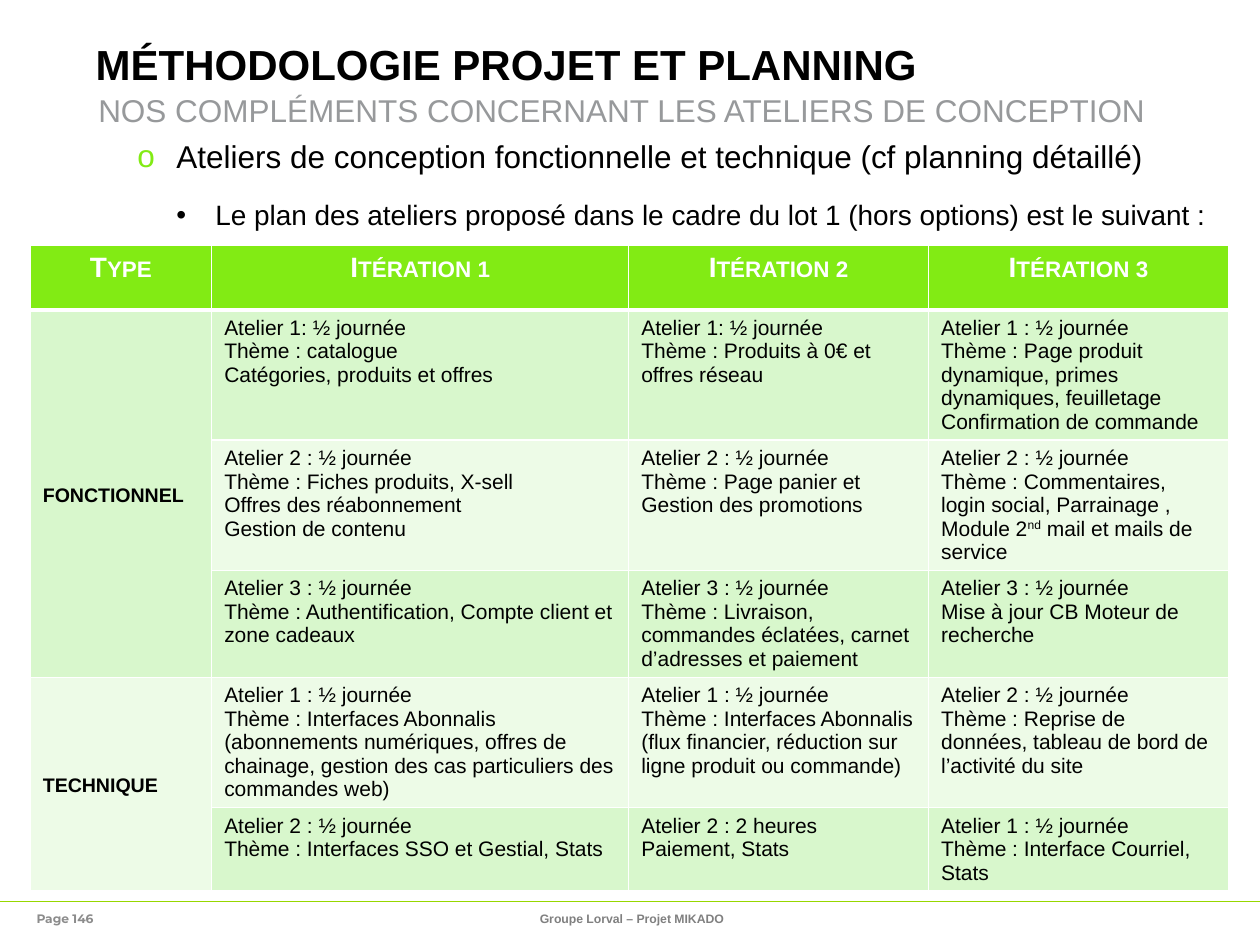
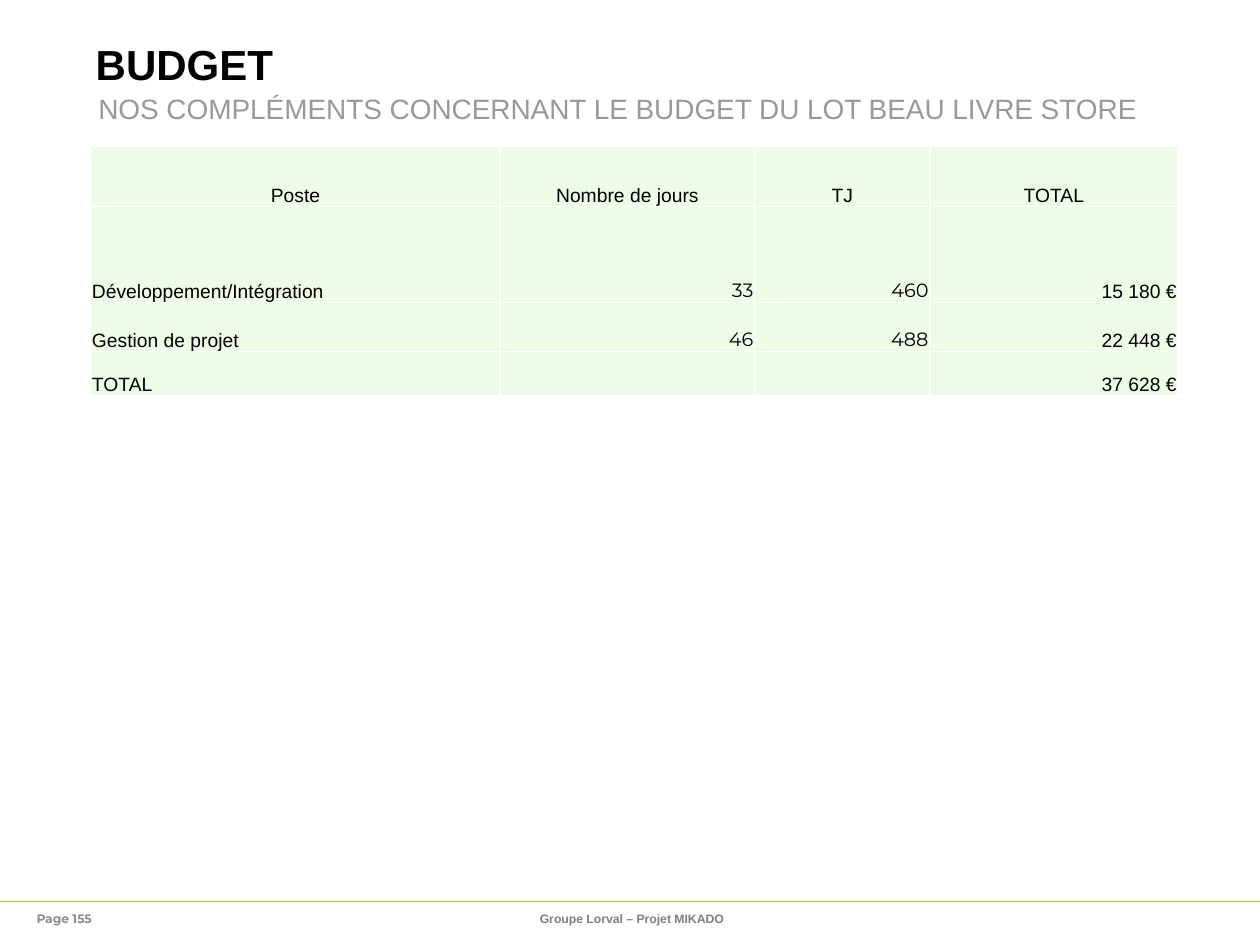
import pptx
import pptx.dml.color
import pptx.enum.shapes
import pptx.enum.text
import pptx.oxml
import pptx.oxml.ns
import pptx.util
from lxml import etree

Inches = pptx.util.Inches
Pt = pptx.util.Pt
qn = pptx.oxml.ns.qn
ALIGN = pptx.enum.text.PP_ALIGN
ANCHOR = pptx.enum.text.MSO_ANCHOR

LIME, MINT, PALE = "82EB14", "D8F7CC", "EDFBE7"
BLACK, WHITE, GREY = "000000", "FFFFFF", "97999B"


def hue(code):
    return pptx.dml.color.RGBColor.from_string(code)


def write(frame, text, size=12, color=BLACK, bold=False, face="Arial", align=ALIGN.LEFT,
          anchor=ANCHOR.TOP, inset=0, space=1, small=False, bullets=()):
    frame.word_wrap = True
    frame.auto_size = pptx.enum.text.MSO_AUTO_SIZE.NONE
    frame.vertical_anchor = anchor
    if inset is not None:
        frame.margin_left = frame.margin_right = Inches(inset)
        frame.margin_top = frame.margin_bottom = Inches(inset)
    for num, line in enumerate(text.split("\n")):
        para = frame.paragraphs[0] if num == 0 else frame.add_paragraph()
        para.alignment = align
        para.line_spacing = space
        points = size
        if bullets:
            mark, tint, left, points = bullets[num]
            props = para._p.get_or_add_pPr()
            props.set("marL", str(Inches(left)))
            props.set("indent", str(Inches(-0.31)))
            shade = etree.SubElement(props, qn("a:buClr"))
            etree.SubElement(shade, qn("a:srgbClr")).set("val", tint)
            etree.SubElement(props, qn("a:buFont")).set("typeface", "Arial")
            etree.SubElement(props, qn("a:buChar")).set("char", mark)
            if num:
                para.space_before = Pt(7)
            else:
                para.space_after = Pt(6)
        for part, bit in enumerate(line.split("^")):
            run = para.add_run()
            run.text = bit
            run.font.size = Pt(points)
            run.font.name = face
            run.font.bold = bold
            run.font.color.rgb = hue(color)
            if part % 2:
                run._r.get_or_add_rPr().set("baseline", "30000")
            if small:
                run._r.get_or_add_rPr().set("cap", "small")


plan = [
    ["Type", "Itération 1", "Itération 2", "Itération 3"],
    ["fonctionnel",
     "Atelier 1: ½ journée\nThème : catalogue\nCatégories, produits et offres",
     "Atelier 1: ½ journée\nThème : Produits à 0€ et offres réseau",
     "Atelier 1 : ½ journée\nThème : Page produit dynamique, primes dynamiques, "
     "feuilletage Confirmation de commande"],
    ["",
     "Atelier 2 : ½ journée\nThème : Fiches produits, X-sell\n"
     "Offres des réabonnement\nGestion de contenu",
     "Atelier 2 : ½ journée\nThème : Page panier et Gestion des promotions",
     "Atelier 2 : ½ journée\nThème : Commentaires, login social, Parrainage , "
     "Module 2^nd^ mail et mails de service"],
    ["",
     "Atelier 3 : ½ journée\nThème : Authentification, Compte client et zone cadeaux",
     "Atelier 3 : ½ journée\nThème : Livraison, commandes éclatées, carnet "
     "d’adresses et paiement",
     "Atelier 3 : ½ journée\nMise à jour CB Moteur de recherche"],
    ["technique",
     "Atelier 1 : ½ journée\nThème : Interfaces Abonnalis (abonnements numériques, "
     "offres de chainage, gestion des cas particuliers des commandes web)",
     "Atelier 1 : ½ journée\nThème : Interfaces Abonnalis (flux financier, "
     "réduction sur ligne produit ou commande)",
     "Atelier 2 : ½ journée\nThème : Reprise de données, tableau de bord de "
     "l’activité du site"],
    ["",
     "Atelier 2 : ½ journée\nThème : Interfaces SSO et Gestial, Stats",
     "Atelier 2 : 2 heures\nPaiement, Stats",
     "Atelier 1 : ½ journée\nThème : Interface Courriel, Stats"],
]
costs = [
    ["Poste", "Nombre de jours", "TJ", "TOTAL"],
    ["Développement/Intégration", "33", "460", "15 180 €"],
    ["Gestion de projet", "46", "488", "22 448 €"],
    ["TOTAL", "", "", "37 628 €"],
]
pages = [
    ("MÉTHODOLOGIE PROJET ET PLANNING",
     "NOS COMPLÉMENTS CONCERNANT LES ATELIERS DE CONCEPTION", 18, "Page 146",
     plan, 0.24, 1.95, [1.44, 3.31, 2.38, 2.38], [0.51, 1.03, 1.03, 0.85, 1.03, 0.66],
     [LIME, MINT, PALE, MINT, PALE, MINT]),
    ("BUDGET",
     "NOS COMPLÉMENTS CONCERNANT LE BUDGET DU LOT BEAU LIVRE STORE", 16, "Page 155",
     costs, 0.72, 1.16, [3.25, 2.02, 1.39, 1.97], [0.48, 0.76, 0.39, 0.35],
     [PALE] * 4),
]

deck = pptx.Presentation()
deck.slide_width = Inches(10)
deck.slide_height = Inches(7.5)
grids = []

for head, sub, size, page, data, left, top, cols, rows, fills in pages:
    slide = deck.slides.add_slide(deck.slide_layouts[5])
    shapes = slide.shapes

    rule = shapes.add_connector(pptx.enum.shapes.MSO_CONNECTOR.STRAIGHT,
                                0, Inches(7.15), Inches(10), Inches(7.15))
    rule.line.color.rgb = hue("97D700")
    rule.line.width = Pt(0.25)
    etree.SubElement(rule._element.spPr, qn("a:effectLst"))

    title = shapes.title
    title.left, title.top = Inches(0.76), Inches(0.35)
    title.width, title.height = Inches(8.79), Inches(0.36)
    write(title.text_frame, head, size=24, bold=True, space=0.9)

    box = shapes.add_textbox(Inches(0.78), Inches(0.78), Inches(8.75), Inches(0.18))
    write(box.text_frame, sub, size=size, color=GREY, space=0.8)

    box = shapes.add_textbox(Inches(0.29), Inches(7.18), Inches(2.33), Inches(0.22))
    write(box.text_frame, page, size=7, color="8C8C8C", bold=True, face="Montserrat",
          anchor=ANCHOR.MIDDLE)
    box = shapes.add_textbox(Inches(3.43), Inches(7.18), Inches(3.17), Inches(0.22))
    write(box.text_frame, "Groupe Lorval – Projet MIKADO", size=7, color="808080",
          bold=True, align=ALIGN.CENTER, anchor=ANCHOR.MIDDLE)

    if data is plan:
        box = shapes.add_textbox(Inches(0.78), Inches(1.09), Inches(8.83), Inches(0.8))
        write(box.text_frame,
              "Ateliers de conception fonctionnelle et technique (cf planning détaillé)\n"
              "Le plan des ateliers proposé dans le cadre du lot 1 (hors options) "
              "est le suivant :",
              bullets=[("o", LIME, 0.62, 18), ("•", BLACK, 0.93, 16)])

    grid = shapes.add_table(len(rows), len(cols), Inches(left), Inches(top),
                            Inches(sum(cols)), Inches(sum(rows))).table
    grid.first_row = grid.horz_banding = False
    for col, width in zip(grid.columns, cols):
        col.width = Inches(width)
    for row, height in zip(grid.rows, rows):
        row.height = Inches(height)
    for r, fill in enumerate(fills):
        for c in range(len(cols)):
            cell = grid.cell(r, c)
            cell.fill.solid()
            cell.fill.fore_color.rgb = hue(fill)
            props = cell._tc.get_or_add_tcPr()
            for place, side in enumerate("LRTB"):
                thick = data is plan and (r, side) in [(0, "B"), (1, "T")]
                edge = etree.Element(qn("a:ln" + side), w=str(Pt(3 if thick else 1)))
                paint = etree.SubElement(edge, qn("a:solidFill"))
                etree.SubElement(paint, qn("a:srgbClr")).set("val", WHITE)
                props.insert(place, edge)
    grids.append(grid)

work, budget = grids
work.cell(1, 0).merge(work.cell(3, 0))
work.cell(4, 0).merge(work.cell(5, 0))
for r, row in enumerate(plan):
    for c, text in enumerate(row):
        if not text:
            continue
        frame = work.cell(r, c).text_frame
        work.cell(r, c).vertical_anchor = ANCHOR.MIDDLE if r and c == 0 else ANCHOR.TOP
        if r == 0:
            write(frame, text, size=16, color=WHITE, bold=True, align=ALIGN.CENTER,
                  inset=None, anchor=None, small=True)
        elif c == 0:
            write(frame, text, size=14, bold=True, inset=None, anchor=None, small=True)
        else:
            write(frame, text, inset=None, anchor=None)

for r, row in enumerate(costs):
    for c, text in enumerate(row):
        cell = budget.cell(r, c)
        cell.vertical_anchor = ANCHOR.BOTTOM
        cell.margin_left = cell.margin_right = cell.margin_top = Inches(0.01)
        cell.margin_bottom = 0
        align = ALIGN.CENTER if r == 0 else ALIGN.RIGHT if c else ALIGN.LEFT
        face = "Montserrat" if r and c in (1, 2) else "Arial"
        if text:
            write(cell.text_frame, text, size=11, face=face, align=align,
                  inset=None, anchor=None)

deck.save("out.pptx")
